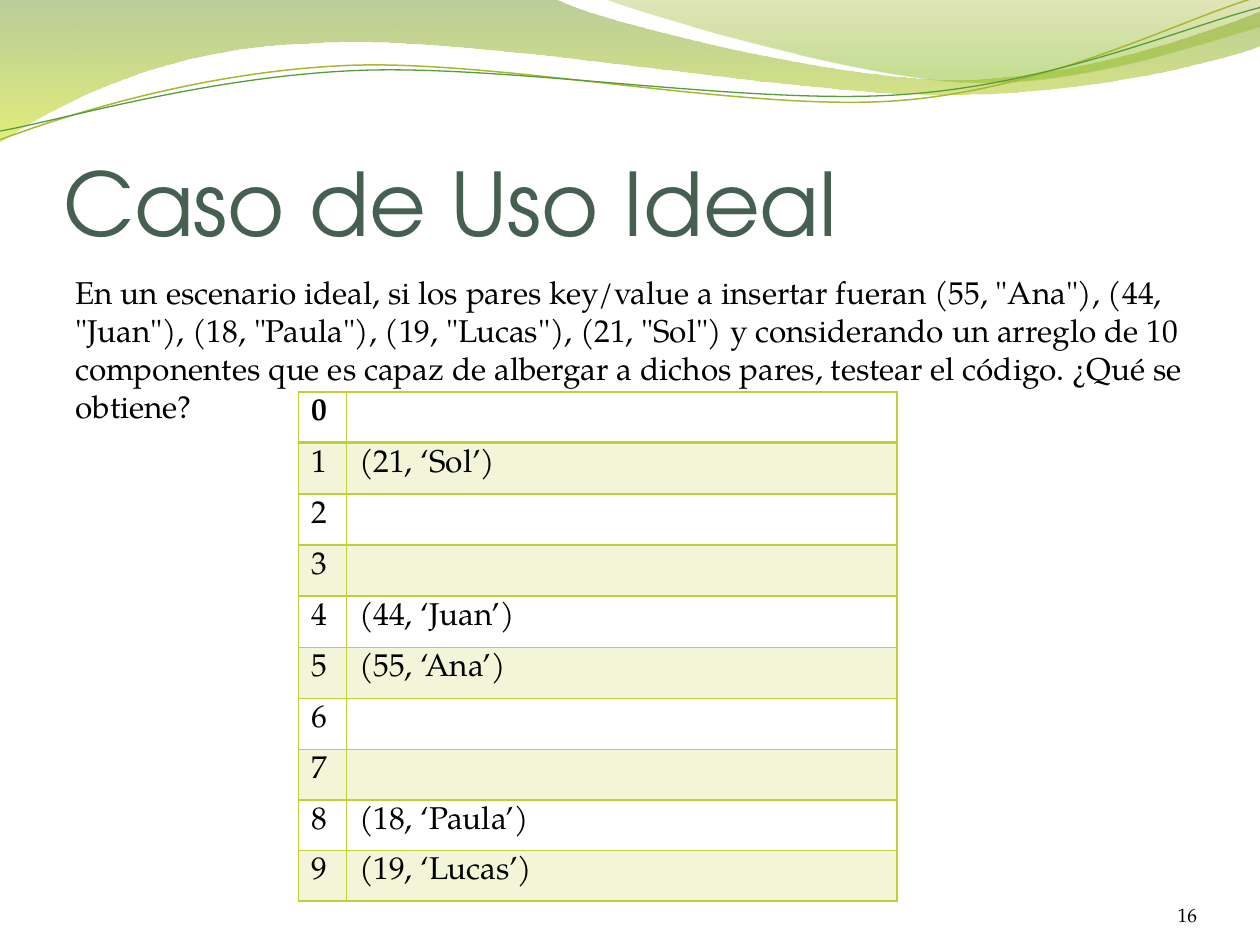
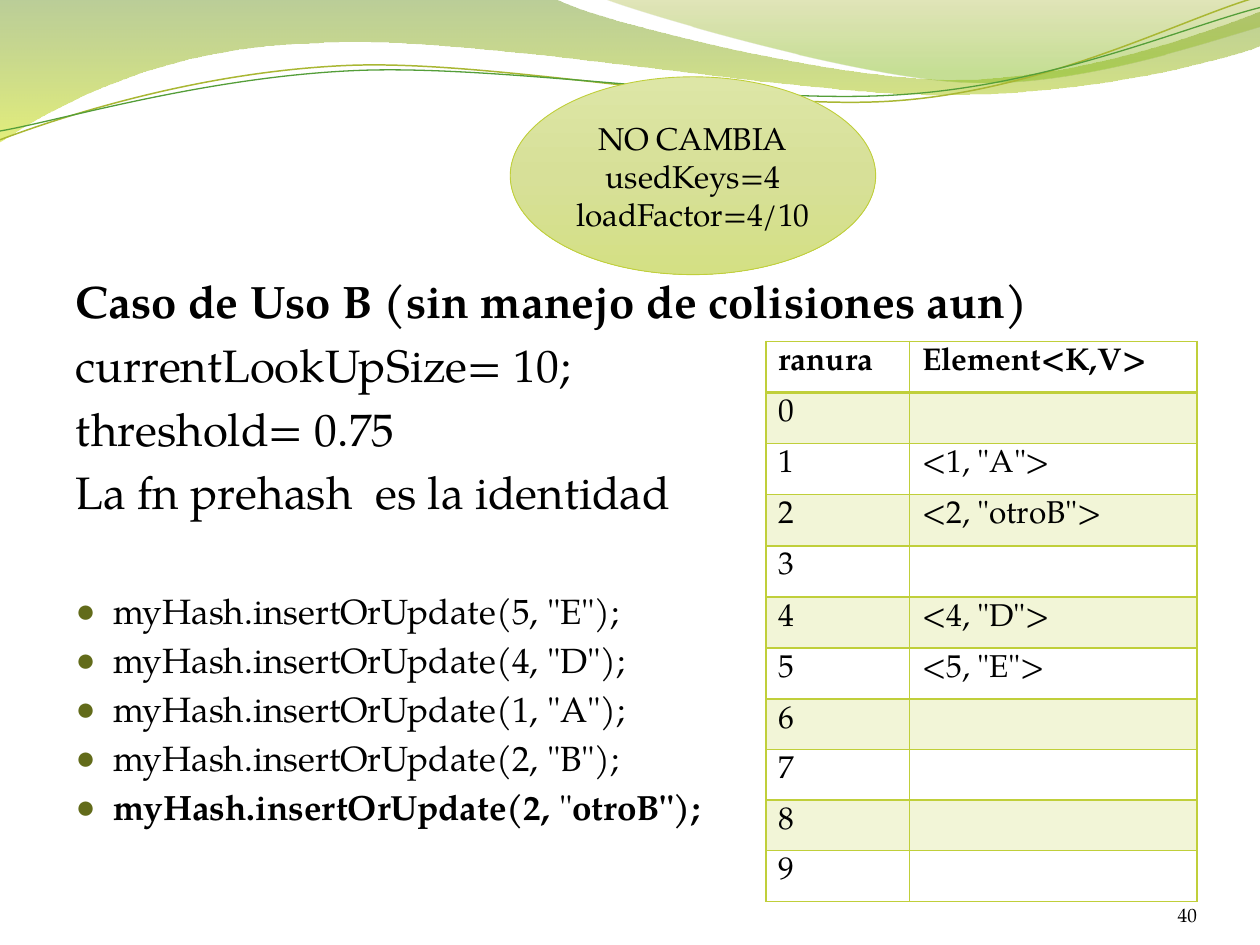
import lxml.etree
import pptx
import pptx.dml.color
import pptx.enum.shapes
import pptx.enum.text
import pptx.oxml.ns
import pptx.util

Inches, Pt = pptx.util.Inches, pptx.util.Pt
ALIGN, ANCHOR = pptx.enum.text.PP_ALIGN, pptx.enum.text.MSO_ANCHOR
qn = pptx.oxml.ns.qn
SERIF, SANS = "TeX Gyre Pagella", "TeX Gyre Adventor"
INK, PINE, LIME, OLIVE = "000000", "455F51", "C0CF3A", "626B1A"
TITLE = (0.5, 0.77, 9, 1.25)
BODY = (0.5, 2.12, 9, 4.8)
FOOT = (8.67, 6.95, 0.83, 0.4)
TALL, LOW = Pt(29.2), Inches(0.2)

WAVES = [
    {"start": (0, 0), "fill": [(0, "69921C", 45), (100, "CCE10F", 55)],
     "legs": [[(4.4, -0.01)],
              [(4.75, 0.17), (6.63, 0.63), (7.58, 0.63)],
              [(8.53, 0.63), (9.58, 0.26), (10, 0.09)],
              [(10.01, 0.36)],
              [(9.83, 0.44), (8.69, 0.76), (7.46, 0.75)],
              [(6.22, 0.75), (3.81, 0.28), (2.57, 0.34)],
              [(1.29, 0.36), (0.46, 0.83), (-0.01, 1.13)],
              [(0, 0)]]},
    {"start": (4.79, -0.01), "fill": [(0, "9BAA1A", 30), (80, "81BA16", 45)],
     "legs": [[(5.09, 0.11), (6.82, 0.62), (7.68, 0.65)],
              [(8.55, 0.69), (9.61, 0.32), (10, 0.21)],
              [(10, 0)],
              [(4.79, -0.01)]]},
    {"start": (0, 1.11), "line": ("A9B733", 0.85),
     "legs": [[(0.48, 0.93), (1.57, 0.57), (2.76, 0.52)],
              [(3.95, 0.47), (5.92, 0.89), (7.12, 0.8)],
              [(8.33, 0.71), (9.38, 0.15), (9.97, -0.02)]]},
    {"start": (0, 1.04), "line": ("549E39", 0.75),
     "legs": [[(0.47, 0.96), (1.63, 0.61), (2.83, 0.56)],
              [(4.02, 0.51), (5.97, 0.84), (7.17, 0.75)],
              [(8.36, 0.67), (9.41, 0.21), (10, 0.06)]]},
]


def hue(code):
    return pptx.dml.color.RGBColor.from_string(code)


def put(item, **values):
    for name, value in values.items():
        setattr(item, name, value)


def place(shape, box):
    for name, value in zip(("left", "top", "width", "height"), box):
        setattr(shape, name, Inches(value))


def tag(root, name, **attrs):
    return lxml.etree.SubElement(root, qn(name), attrs)


def blend(shape, stops):
    shape.fill.gradient()
    shape.fill.gradient_angle = 270
    ramp = shape._element.spPr.find(qn("a:gradFill")).find(qn("a:gsLst"))
    for stop in list(ramp):
        ramp.remove(stop)
    for pos, code, alpha in stops:
        stop = tag(ramp, "a:gs", pos=str(pos * 1000))
        color = tag(stop, "a:srgbClr", val=code)
        if alpha < 100:
            tag(color, "a:alpha", val=str(alpha * 1000))


def stroke(line, code, width):
    line.color.rgb = hue(code)
    line.width = Pt(width)


def write(para, text, size, face=SERIF, code=INK, bold=False):
    run = para.add_run()
    run.text = text
    put(run.font, size=Pt(size), name=face, bold=bold)
    run.font.color.rgb = hue(code)


def bend(shape, legs):
    lines = iter(list(shape._element.iter(qn("a:lnTo"))))
    for leg in legs:
        first, *rest = [next(lines) for _ in leg]
        if not rest:
            continue
        curve = lxml.etree.Element(qn("a:cubicBezTo"))
        first.addprevious(curve)
        for line in (first, *rest):
            curve.append(line[0])
            line.getparent().remove(line)


def waves(slide):
    tree = slide.slide_layout.shapes._spTree
    for index, wave in enumerate(WAVES):
        spots = [wave["start"], *sum(wave["legs"], [])]
        points = [(Inches(x), Inches(y)) for x, y in spots]
        pen = slide.shapes.build_freeform(*points[0])
        pen.add_line_segments(points[1:], close="fill" in wave)
        shape = pen.convert_to_shape()
        bend(shape, wave["legs"])
        shape.shadow.inherit = False
        if "fill" in wave:
            blend(shape, wave["fill"])
            shape.line.fill.background()
        else:
            shape.fill.background()
            stroke(shape.line, *wave["line"])
        shape._element.nvSpPr.cNvPr.set("id", str(50 + index))
        tree.insert(2 + index, shape._element)


def head(slide, text, box):
    shape = slide.shapes.title
    if not text:
        shape._element.getparent().remove(shape._element)
        return
    place(shape, box)
    frame = shape.text_frame
    put(frame, margin_left=0, margin_right=0, margin_top=Inches(0.05), margin_bottom=0,
        vertical_anchor=ANCHOR.BOTTOM, auto_size=pptx.enum.text.MSO_AUTO_SIZE.NONE)
    frame.paragraphs[0].alignment = ALIGN.LEFT
    write(frame.paragraphs[0], text, 50, SANS, PINE)


def body(slide, items, box):
    shape = slide.placeholders[1]
    place(shape, box)
    frame = shape.text_frame
    frame.auto_size = pptx.enum.text.MSO_AUTO_SIZE.NONE
    for index, (runs, size, gap, dot) in enumerate(items):
        para = frame.add_paragraph() if index else frame.paragraphs[0]
        para.space_before = Pt(gap)
        props = para._p.get_or_add_pPr()
        indent = Inches(0.3) if dot else 0
        props.set("marL", str(indent))
        props.set("indent", str(-indent))
        if dot:
            tag(tag(props, "a:buClr"), "a:srgbClr", val=OLIVE)
            tag(props, "a:buSzPct", val="95000")
            tag(props, "a:buChar", char="●")
        else:
            tag(props, "a:buNone")
        for text, bold in runs:
            write(para, text, size, bold=bold)


def foot(slide, text, box):
    frame = slide.shapes.add_textbox(*map(Inches, box)).text_frame
    put(frame, margin_left=0, margin_right=0, margin_top=0, margin_bottom=0,
        word_wrap=True, vertical_anchor=ANCHOR.BOTTOM)
    frame.paragraphs[0].alignment = ALIGN.RIGHT
    write(frame.paragraphs[0], text, 11)


def edge(cell, base):
    props = cell._tc.get_or_add_tcPr()
    for index, (side, width) in enumerate(zip("LRTB", (1, 1, 1, base))):
        line = lxml.etree.Element(qn("a:ln" + side), w=str(Pt(width)))
        tag(tag(line, "a:solidFill"), "a:srgbClr", val=LIME)
        props.insert(index, line)


def grid(slide, rows, cols, heights, box):
    frame = slide.shapes.add_table(len(rows), len(cols), *map(Inches, box))
    table = frame.table
    for col, width in zip(table.columns, cols):
        col.width = Inches(width)
    for r, (texts, height) in enumerate(zip(rows, heights)):
        table.rows[r].height = height
        for c, text in enumerate(texts):
            cell = table.cell(r, c)
            if text:
                write(cell.text_frame.paragraphs[0], text, 18, bold=r == 0)
            if r % 2:
                cell.fill.solid()
                cell.fill.fore_color.rgb = hue(LIME)
                color = cell._tc.tcPr.find(".//" + qn("a:srgbClr"))
                tag(color, "a:alpha", val="20000")
            else:
                cell.fill.background()
            edge(cell, 1 if r else 2)
    place(frame, box)


def bubble(slide, lines, box):
    oval = pptx.enum.shapes.MSO_SHAPE.OVAL
    shape = slide.shapes.add_shape(oval, *map(Inches, box))
    shape.shadow.inherit = False
    blend(shape, [(0, "DDE6A6", 100), (50, "D7E098", 100), (100, "D4E084", 100)])
    stroke(shape.line, LIME, 0.5)
    frame = shape.text_frame
    put(frame, word_wrap=True, vertical_anchor=ANCHOR.MIDDLE)
    for index, text in enumerate(lines):
        para = frame.add_paragraph() if index else frame.paragraphs[0]
        para.alignment = ALIGN.CENTER
        write(para, text, 18)


def page(deck, title, items, number):
    slide = deck.slides.add_slide(deck.slide_layouts[1])
    head(slide, title, TITLE)
    body(slide, items, BODY)
    foot(slide, number, FOOT)
    return slide


def slots(filled):
    return [(str(n), filled.get(n, "")) for n in range(10)]


def ideal(deck):
    text = ('En un escenario ideal, si los pares key/value a insertar fueran (55, "Ana"), '
            '(44, "Juan"), (18, "Paula"), (19, "Lucas"), (21, "Sol") y considerando un '
            'arreglo de 10 componentes que es capaz de albergar a dichos pares, testear '
            'el código. ¿Qué se obtiene?')
    slide = page(deck, "Caso de Uso Ideal", [([(text, False)], 18, 3.6, False)], "16")
    rows = slots({1: "(21, ‘Sol’)", 4: "(44, ‘Juan’)", 5: "(55, ‘Ana’)",
                  8: "(18, ‘Paula’)", 9: "(19, ‘Lucas’)"})
    grid(slide, rows, (0.38, 4.37), [TALL] * 7 + [LOW] * 3, (2.37, 3.11, 4.75, 4.04))
    return slide


def clash(deck):
    facts = ["Caso de Uso B (sin manejo de colisiones aun)", "currentLookUpSize= 10;",
             "threshold= 0.75", "La fn prehash  es la identidad"]
    items = [([(text, n == 0)], 26, 5.2, False) for n, text in enumerate(facts)]
    pairs = ['5, "E"', '4, "D"', '1, "A"', '2, "B"']
    items += [([(f"myHash.insertOrUpdate({pair});", False)], 20, 4 if n else 40.4, True)
              for n, pair in enumerate(pairs)]
    last = [("myHash.insertOrUpdate(2, ", True), ('"', False), ('otroB");', True)]
    items.append((last, 20, 4, True))
    slide = page(deck, None, items, "40")
    rows = [("ranura", "Element<K,V>")] + slots(
        {1: '<1, "A">', 2: '<2, "otroB">', 4: '<4, "D">', 5: '<5, "E">'})
    grid(slide, rows, (1.14, 2.28), [TALL] * 7 + [LOW] * 3 + [TALL],
         (6.08, 2.71, 3.42, 4.44))
    bubble(slide, ["NO CAMBIA", "usedKeys=4", "loadFactor=4/10"], (4.05, 0.61, 2.9, 1.57))


def main():
    deck = pptx.Presentation()
    put(deck, slide_width=Inches(10), slide_height=Inches(7.5))
    waves(ideal(deck))
    clash(deck)
    deck.save("out.pptx")


if __name__ == "__main__":
    main()
